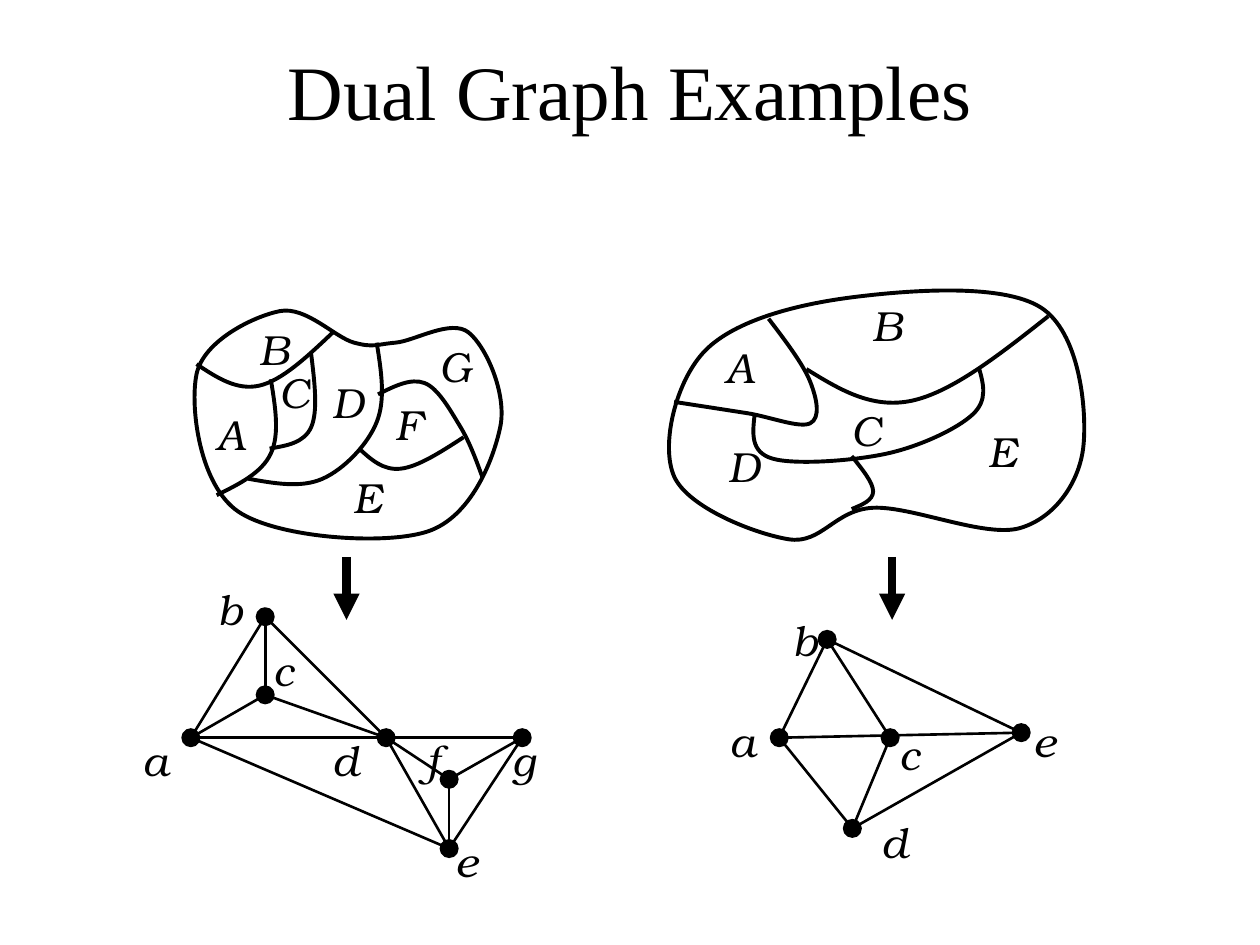
from typing import NamedTuple

from lxml.etree import SubElement
from pptx import Presentation
from pptx.dml.color import RGBColor
from pptx.enum.shapes import MSO_CONNECTOR as Connector, MSO_SHAPE as Preset
from pptx.enum.text import MSO_ANCHOR as Anchor, PP_ALIGN as Align
from pptx.oxml.ns import qn
from pptx.util import Cm, Pt

COLORS = {"ink": "000000", "paper": "FFFFFF"}
FONTS = {"title": "Times New Roman", "label": "TeX Gyre Bonum"}
DOT_SIZE = 0.13
LABEL_WIDTH, LABEL_HEIGHT = 0.45, 0.5

Point = tuple[float, float]


class Map(NamedTuple):
    outline: list[Point]
    borders: list[list[Point]]
    labels: dict[str, Point]


class Vertex(NamedTuple):
    dot: Point
    label: Point


class Graph(NamedTuple):
    vertices: dict[str, Vertex]
    edges: str


MAPS = [
    Map(
        [(3.14, 2.72), (2.81, 2.72), (2.22, 2.47), (1.56, 2.97),
         (1.89, 4.06), (3.39, 4.22), (3.97, 3.39), (3.72, 2.64)],
        [
            [(1.56, 2.89), (2.06, 3.06), (2.64, 2.64)],
            [(2.15, 3.01), (2.15, 3.6), (1.72, 3.93)],
            [(2.14, 3.56), (2.47, 3.39), (2.47, 2.81)],
            [(1.97, 3.8), (2.56, 3.8), (2.99, 3.35), (2.99, 2.72)],
            [(3, 3.13), (3.37, 3.04), (3.65, 3.38), (3.83, 3.79)],
            [(2.85, 3.56), (3.18, 3.72), (3.68, 3.47)],
        ],
        {"A": (1.62, 3.19), "B": (1.96, 2.52), "C": (2.12, 2.86), "D": (2.54, 2.94),
         "E": (2.71, 3.69), "F": (3.04, 3.11), "G": (3.39, 2.65)},
    ),
    Map(
        [(5.6, 2.78), (6.76, 2.36), (8.26, 2.44), (8.6, 3.53),
         (8.1, 4.19), (6.93, 4.03), (6.26, 4.28), (5.35, 3.78)],
        [
            [(5.35, 3.19), (5.93, 3.28), (6.43, 3.36), (6.43, 3.03), (6.1, 2.53)],
            [(6.4, 2.93), (7.24, 3.18), (8.32, 2.51)],
            [(5.99, 3.29), (6.13, 3.64), (7.04, 3.6), (7.72, 3.29), (7.77, 2.92)],
            [(6.76, 3.62), (6.93, 3.9), (6.76, 4.04)],
        ],
        {"A": (5.66, 2.66), "B": (6.83, 2.33), "C": (6.66, 3.16), "D": (5.68, 3.45),
         "E": (7.75, 3.33)},
    ),
]

# Each edge names its two vertices.
GRAPHS = [
    Graph(
        {"a": Vertex((1.45, 5.79), (1.03, 5.78)), "b": Vertex((2.04, 4.83), (1.63, 4.58)),
         "c": Vertex((2.04, 5.45), (2.07, 5.07)), "d": Vertex((3, 5.79), (2.54, 5.78)),
         "e": Vertex((3.5, 6.67), (3.52, 6.58)), "f": Vertex((3.5, 6.12), (3.28, 5.78)),
         "g": Vertex((4.08, 5.79), (3.97, 5.78))},
        "ac bc ab bd cd ag de df gf ge fe ae",
    ),
    Graph(
        {"a": Vertex((6.12, 5.79), (5.69, 5.63)), "b": Vertex((6.5, 5.01), (6.19, 4.83)),
         "c": Vertex((7, 5.79), (7.04, 5.73)), "d": Vertex((6.7, 6.51), (6.9, 6.43)),
         "e": Vertex((8.04, 5.75), (8.1, 5.63))},
        "ab bc be ae cd ad de",
    ),
]

ARROW_TOP, ARROW_BOTTOM = 4.42, 4.92
ARROW_COLUMNS = (2.75, 7.08)


def grid(*values: float) -> list[Cm]:
    """Turn positions on the one-inch slide grid into lengths."""
    return [Cm(value * 2.54) for value in values]


def color(name: str) -> RGBColor:
    return RGBColor.from_string(COLORS[name])


def set_line(shape, width: float) -> None:
    shape.line.color.rgb = color("ink")
    shape.line.width = Pt(width)


def shift(point: Point, start: Point, end: Point, share: float) -> Point:
    """Move a point by a share of the way from start to end."""
    return tuple(p + (e - s) * share for p, s, e in zip(point, start, end))


def smooth(knots: list[Point], closed: bool) -> list[Point]:
    """Return the Bézier points after the first knot of a Catmull-Rom curve."""
    count = len(knots)
    points = []
    for index in range(count if closed else count - 1):
        before, start, end, after = (knots[(index + step) % count] for step in (-1, 0, 1, 2))
        leave = shift(start, before, end, 1 / 6)
        arrive = shift(end, after, start, 1 / 6)
        if not closed and index == 0:
            leave = shift(start, start, arrive, 1 / 2)
        if not closed and index == count - 2:
            arrive = shift(end, end, leave, 1 / 2)
        points += [leave, arrive, end]
    return points


def add_curve(shapes, knots: list[Point], closed: bool = False) -> None:
    points = [grid(*point) for point in smooth(knots, closed)]
    builder = shapes.build_freeform(*grid(*knots[0]), scale=1.0)
    builder.add_line_segments(points, close=closed)
    curve = builder.convert_to_shape()
    curve.shadow.inherit = False
    curve.fill.background()
    set_line(curve, 2.25)
    steps = list(curve._element.iter(qn("a:lnTo")))
    for first in range(0, len(points), 3):
        triple = steps[first:first + 3]
        bezier = triple[0].makeelement(qn("a:cubicBezTo"))
        triple[0].addprevious(bezier)
        for step in triple:
            bezier.append(step[0])
            step.getparent().remove(step)


def add_text(shapes, text: str, frame: list[Cm], font: str, size: int):
    box = shapes.add_textbox(*frame)
    box.text_frame.word_wrap = True
    para = box.text_frame.paragraphs[0]
    para.text = text
    para.font.name = FONTS[font]
    para.font.size = Pt(size)
    para.font.color.rgb = color("ink")
    return box.text_frame, para


def add_label(shapes, text: str, corner: Point) -> None:
    frame = grid(*corner, LABEL_WIDTH, LABEL_HEIGHT)
    _, para = add_text(shapes, text, frame, "label", 24)
    para.font.italic = True


def add_dot(shapes, corner: Point) -> None:
    dot = shapes.add_shape(Preset.OVAL, *grid(*corner, DOT_SIZE, DOT_SIZE))
    dot.shadow.inherit = False
    dot.fill.solid()
    dot.fill.fore_color.rgb = color("ink")
    set_line(dot, 1.5)


def add_line(shapes, start: Point, end: Point, width: float, arrow: bool = False) -> None:
    line = shapes.add_connector(Connector.STRAIGHT, *grid(*start, *end))
    set_line(line, width)
    if arrow:
        SubElement(line.line._get_or_add_ln(), qn("a:tailEnd"), type="triangle")
    SubElement(line._element.spPr, qn("a:effectLst"))


def add_map(shapes, region_map: Map) -> None:
    add_curve(shapes, region_map.outline, closed=True)
    for border in region_map.borders:
        add_curve(shapes, border)
    for text, corner in region_map.labels.items():
        add_label(shapes, text, corner)


def add_graph(shapes, graph: Graph) -> None:
    centers = {name: tuple(side + DOT_SIZE / 2 for side in vertex.dot)
               for name, vertex in graph.vertices.items()}
    for start, end in graph.edges.split():
        add_line(shapes, centers[start], centers[end], 1.5)
    for name, vertex in graph.vertices.items():
        add_dot(shapes, vertex.dot)
        add_label(shapes, name, vertex.label)


def main() -> None:
    deck = Presentation()
    deck.slide_width, deck.slide_height = grid(10, 7.5)
    page = deck.slides.add_slide(deck.slide_layouts[6])
    page.background.fill.solid()
    page.background.fill.fore_color.rgb = color("paper")

    title, para = add_text(page.shapes, "Dual Graph Examples", grid(0.5, 0.17, 9, 1.08), "title", 44)
    title.vertical_anchor = Anchor.MIDDLE
    para.alignment = Align.CENTER

    for region_map, graph, column in zip(MAPS, GRAPHS, ARROW_COLUMNS):
        add_map(page.shapes.add_group_shape().shapes, region_map)
        add_graph(page.shapes.add_group_shape().shapes, graph)
        add_line(page.shapes, (column, ARROW_TOP), (column, ARROW_BOTTOM), 5, arrow=True)

    deck.save("out.pptx")


if __name__ == "__main__":
    main()
